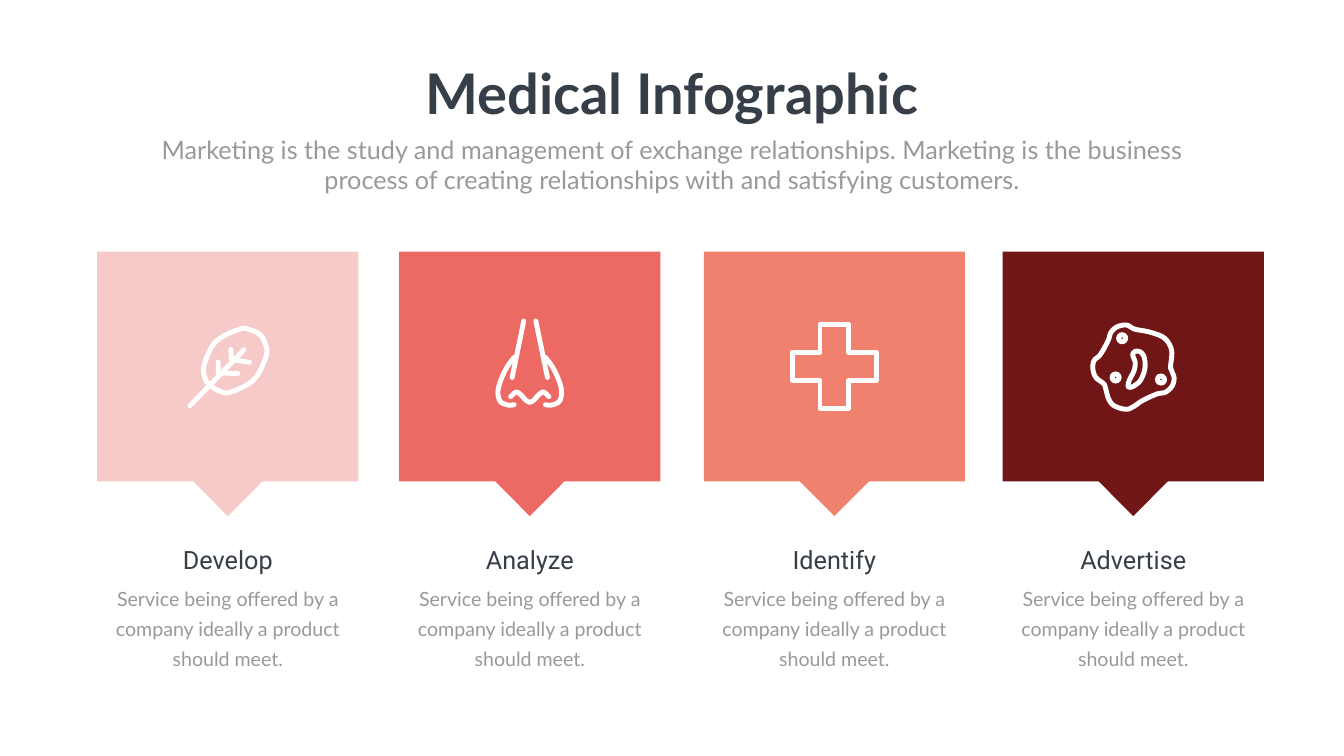
from dataclasses import dataclass

from lxml import etree
from pptx import Presentation
from pptx.dml.color import RGBColor
from pptx.enum.shapes import MSO_SHAPE
from pptx.enum.text import PP_ALIGN
from pptx.oxml.ns import qn
from pptx.util import Inches, Pt

RECTANGLE = MSO_SHAPE.RECTANGLE
POINTER = MSO_SHAPE.FLOWCHART_MERGE
CROSS = MSO_SHAPE.CROSS
DONUT = MSO_SHAPE.DONUT
CENTER = PP_ALIGN.CENTER

SLIDE_WIDTH = Inches(26.66)
SLIDE_HEIGHT = Inches(15)
# The grid has 100 columns and 100 rows
COLUMN = SLIDE_WIDTH / 100
ROW = SLIDE_HEIGHT / 100
ICON_UNIT = Inches(0.01)
ICON_ROW = 48.47
DETAIL = 10  # finer steps inside a freeform


@dataclass(frozen=True)
class Theme:
    dark: str = "363E48"
    muted: str = "999999"
    icon: str = "FFFFFF"
    text_font: str = "Lato"
    label_font: str = "Roboto"
    title_size: int = 80
    subtitle_size: int = 36
    label_size: int = 36
    body_size: int = 28
    body_spacing: int = 43
    icon_line: float = 7


THEME = Theme()

# Label, fill, centre column
CARDS = [
    ("Develop", "F6CAC8", 16.95),
    ("Analyze", "EC6964", 39.42),
    ("Identify", "F1816F", 62.08),
    ("Advertise", "711616", 84.32),
]
BODY = "Service being offered by a company ideally a product should meet."

# Icon outlines, in icon units from the icon's centre
LEAF = [(75, -43), (65, -62), (46, -72), (24, -74), (-24, -49), (-47, -3),
        (-46, 20), (-38, 35), (-16, 49), (6, 51), (52, 26), (76, -20)]
VEINS = [[(-75, 78), (32, -33)],
         [(6, -34), (7, -14), (43, -8)],
         [(-19, -9), (-19, 13), (20, 14)]]
NOSTRIL = [(-31, 76), (-41, 77), (-54, 73), (-61, 65), (-63, 48),
           (-57, 26), (-45, 1), (-31, -18)]
BRIDGE = [(-35, 22), (-12, -90)]
NOSE_BASE = [(-38, 60), (-27, 51), (-17, 57), (-9, 66), (0, 71),
             (9, 66), (17, 57), (27, 51), (38, 60)]
CELL = [(74, 0), (76, -32), (62, -56), (33, -68), (3, -74), (-13, -82),
        (-31, -79), (-44, -68), (-50, -51), (-65, -24), (-78, -11),
        (-80, 6), (-74, 22), (-59, 34), (-55, 43), (-49, 64), (-38, 78),
        (-15, 85), (0, 80), (18, 68), (46, 55), (64, 51), (77, 39),
        (81, 23), (76, 8)]
NUCLEUS = [(15, -28), (5, -30), (-1, -23), (4, -7), (1, 10), (-8, 28),
           (-10, 40), (-1, 40), (14, 28), (23, 5), (22, -17)]
CELL_DOTS = [(55, 26), (-22, -56), (-35, 22)]


def frame(center, top, width, height):
    """Turn a centred grid area into left, top, width and height."""
    return (round((center - width / 2) * COLUMN), round(top * ROW),
            round(width * COLUMN), round(height * ROW))


def icon_frame(center, x, y, size):
    """Square area around a point given in icon units."""
    left = center * COLUMN + (x - size / 2) * ICON_UNIT
    top = ICON_ROW * ROW + (y - size / 2) * ICON_UNIT
    return round(left), round(top), size * ICON_UNIT, size * ICON_UNIT


def smooth(points, closed=False, steps=8):
    """Catmull-Rom curve through the points."""
    if closed:
        padded = [points[-1], *points, *points[:2]]
    else:
        padded = [points[0], *points, points[-1]]
    curve = []
    for a, b, c, d in zip(padded, padded[1:], padded[2:], padded[3:]):
        for step in range(steps):
            t = step / steps
            curve.append(tuple(
                q + t * (r - p) / 2
                + t ** 2 * (2 * p - 5 * q + 4 * r - s) / 2
                + t ** 3 * (3 * q - p - 3 * r + s) / 2
                for p, q, r, s in zip(a, b, c, d)))
    return curve + [curve[0] if closed else points[-1]]


def mirror(points):
    return [(-x, y) for x, y in points]


def add_filled(page, kind, area, color):
    shape = page.shapes.add_shape(kind, *area)
    shape.shadow.inherit = False
    shape.fill.solid()
    shape.fill.fore_color.rgb = RGBColor.from_string(color)
    shape.line.fill.background()
    return shape


def style_outline(shape):
    shape.shadow.inherit = False
    shape.fill.background()
    shape.line.color.rgb = RGBColor.from_string(THEME.icon)
    shape.line.width = Pt(THEME.icon_line)
    # Round caps and joins
    line = shape.line._get_or_add_ln()
    line.set("cap", "rnd")
    etree.SubElement(line, qn("a:round"))


def add_strokes(page, center, *strokes):
    """Draw several strokes as one freeform."""
    scaled = [[(x * DETAIL, y * DETAIL) for x, y in stroke] for stroke in strokes]
    builder = page.shapes.build_freeform(*scaled[0][0], scale=ICON_UNIT / DETAIL)
    for index, stroke in enumerate(scaled):
        if index:
            builder.move_to(*stroke[0])
        builder.add_line_segments(stroke[1:], close=stroke[0] == stroke[-1])
    shape = builder.convert_to_shape(round(center * COLUMN), round(ICON_ROW * ROW))
    style_outline(shape)


def add_text(page, area, text, font, size, color, bold=False, spacing=None, wrap=True):
    box = page.shapes.add_textbox(*area)
    box.text_frame.word_wrap = wrap
    para = box.text_frame.paragraphs[0]
    para.text = text
    para.alignment = CENTER
    if spacing:
        para.line_spacing = Pt(spacing)
    span = para.runs[0]
    span.font.name = font
    span.font.size = Pt(size)
    span.font.bold = bold
    span.font.color.rgb = RGBColor.from_string(color)


def add_leaf(page, center):
    add_strokes(page, center, smooth(LEAF, closed=True), *VEINS)


def add_nose(page, center):
    side = [smooth(NOSTRIL), BRIDGE]
    add_strokes(page, center, *side)
    add_strokes(page, center, *map(mirror, side))
    add_strokes(page, center, smooth(NOSE_BASE))


def add_cross(page, center):
    shape = page.shapes.add_shape(CROSS, *icon_frame(center, 0, 0, 167))
    shape.adjustments[0] = 0.33
    style_outline(shape)


def add_cell(page, center):
    add_strokes(page, center, smooth(CELL, closed=True))
    for x, y in CELL_DOTS:
        dot = add_filled(page, DONUT, icon_frame(center, x, y, 24), THEME.icon)
        dot.adjustments[0] = 0.43
    add_strokes(page, center, smooth(NUCLEUS, closed=True))


def add_card(page, label, color, center, add_icon):
    add_filled(page, RECTANGLE, frame(center, 33.27, 19.43, 30.4), color)
    add_filled(page, POINTER, frame(center, 59.87, 9.41, 8.4), color)
    add_icon(page, center)
    add_text(page, frame(center, 76.4, 19.13, 12.27), BODY, THEME.text_font,
             THEME.body_size, THEME.muted, spacing=THEME.body_spacing)
    add_text(page, frame(center, 71.73, 11.74, 4.73), label, THEME.label_font,
             THEME.label_size, THEME.dark)


def main():
    deck = Presentation()
    deck.slide_width, deck.slide_height = SLIDE_WIDTH, SLIDE_HEIGHT
    page = deck.slides.add_slide(deck.slide_layouts[6])

    # Cards with icons and captions
    icons = [add_leaf, add_nose, add_cross, add_cell]
    for card, add_icon in zip(CARDS, icons):
        add_card(page, *card, add_icon)

    # Heading
    add_text(page, frame(50, 7.47, 38.22, 9.67), "Medical Infographic",
             THEME.text_font, THEME.title_size, THEME.dark, bold=True, wrap=False)
    add_text(page, frame(50, 17.4, 78.09, 8.73),
             "Marketing is the study and management of exchange relationships. "
             "Marketing is the business process of creating relationships with "
             "and satisfying customers.",
             THEME.text_font, THEME.subtitle_size, THEME.muted)

    deck.save("out.pptx")


if __name__ == "__main__":
    main()
